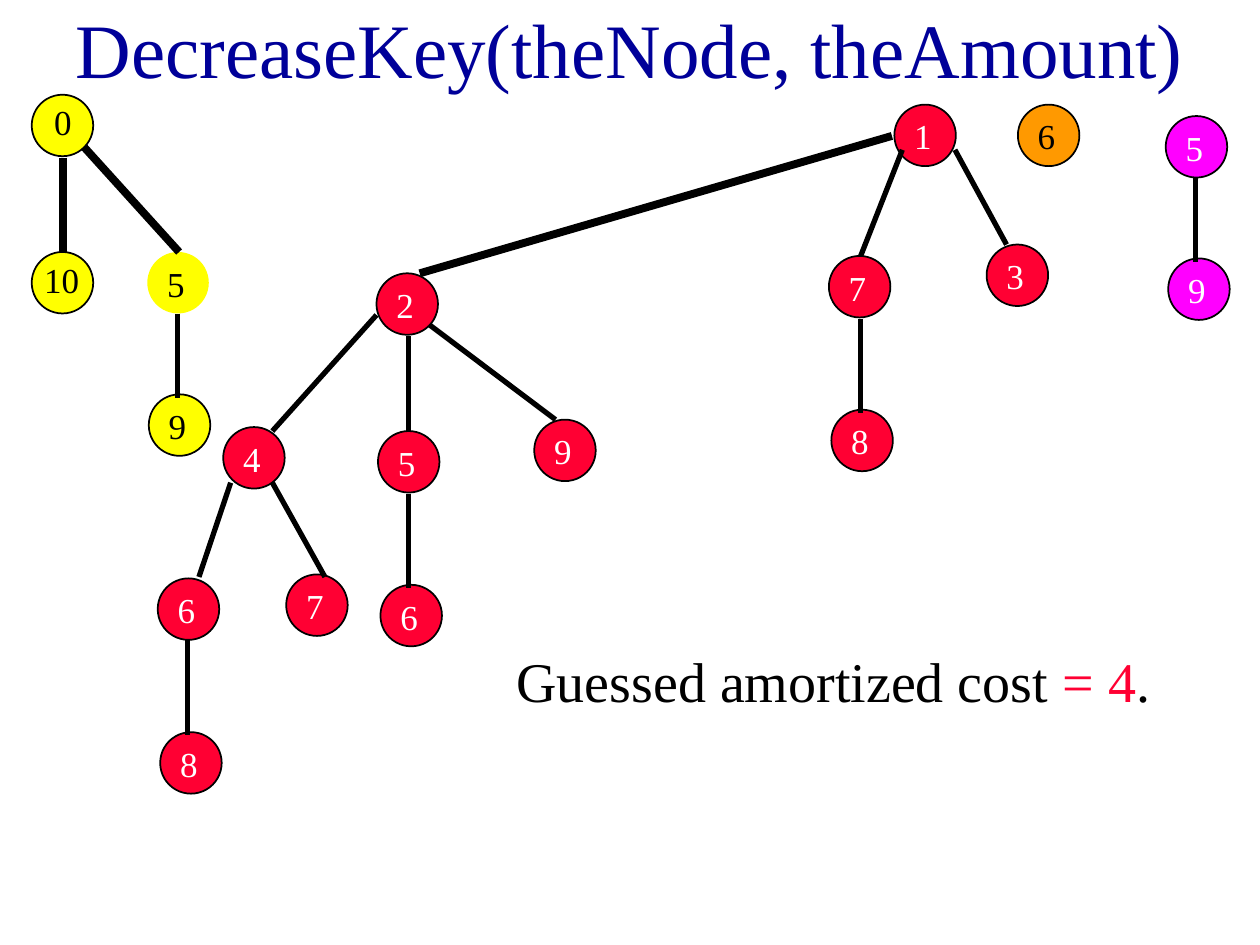
"""Build the DecreaseKey slide: a forest of trees with its amortized cost."""
import dataclasses
import typing

import pptx
import pptx.dml.color
import pptx.enum.shapes
import pptx.enum.text
import pptx.oxml.ns
import pptx.slide
import pptx.text.text
import pptx.util
import lxml.etree

Cm = pptx.util.Cm
Pt = pptx.util.Pt
Shape = pptx.enum.shapes.MSO_SHAPE
Anchor = pptx.enum.text.MSO_ANCHOR
Align = pptx.enum.text.PP_ALIGN


@dataclasses.dataclass(frozen=True)
class Theme:
    font: str = "Times New Roman"
    title_size: float = 44
    statement_size: float = 32
    label_size: float = 20
    outline: float = 1
    thin: float = 3
    thick: float = 4.5
    title: str = "000099"
    black: str = "000000"
    white: str = "FFFFFF"
    yellow: str = "FFFF00"
    red: str = "FF0033"
    orange: str = "FF9900"
    magenta: str = "FF00FF"


THEME = Theme()
DIAMETER = 1.24


@dataclasses.dataclass(frozen=True)
class Node:
    key: str
    left: float
    top: float
    outlined: bool = True
    label_dx: float = 0.15
    label_dy: float = 0.08
    label_width: float = 0.86


@dataclasses.dataclass(frozen=True)
class Edge:
    x1: float
    y1: float
    x2: float
    y2: float
    weight: float = THEME.thin


@dataclasses.dataclass(frozen=True)
class Tree:
    fill: str
    ink: str
    nodes: tuple[Node, ...]
    edges: tuple[Edge, ...] = ()


FOREST = (
    Tree(THEME.yellow, THEME.black, (
        Node("10", 0.64, 5.08, label_dx=0, label_dy=0, label_width=1.22),
        Node("0", 0.64, 1.91, label_dx=0.2, label_dy=0),
        Node("5", 2.97, 5.08, outlined=False),
        Node("9", 3, 7.95),
    ), (
        Edge(3.58, 6.32, 3.58, 8.03),
        Edge(1.27, 3.18, 1.27, 5.08, THEME.thick),
        Edge(1.7, 2.97, 3.61, 5.08, THEME.thick),
    )),
    Tree(THEME.red, THEME.white, (
        Node("1", 18.03, 2.11),
        Node("7", 16.71, 5.16),
        Node("3", 19.89, 4.93),
        Node("8", 16.76, 8.26),
        Node("2", 7.59, 5.51),
        Node("5", 7.62, 8.69),
        Node("9", 10.77, 8.46),
        Node("6", 7.67, 11.79),
        Node("4", 4.5, 8.61),
        Node("6", 3.18, 11.66),
        Node("7", 5.77, 11.58),
        Node("8", 3.23, 14.76),
    ), (
        Edge(17.35, 6.43, 17.35, 8.33),
        Edge(18.19, 3.02, 17.35, 5.16),
        Edge(19.25, 3.02, 20.29, 4.93),
        Edge(8.23, 9.96, 8.23, 11.86),
        Edge(8.23, 6.78, 8.23, 8.69),
        Edge(8.66, 6.55, 11.2, 8.46),
        Edge(3.78, 12.9, 3.78, 14.81),
        Edge(4.65, 9.73, 4.01, 11.63),
        Edge(5.49, 9.73, 6.55, 11.63),
        Edge(7.59, 6.35, 5.49, 8.69),
        Edge(17.98, 2.74, 8.46, 5.51, THEME.thick),
    )),
    Tree(THEME.orange, THEME.black, (Node("6", 20.52, 2.11),)),
    Tree(THEME.magenta, THEME.white, (
        Node("5", 23.5, 2.34),
        Node("9", 23.55, 5.21),
    ), (Edge(24.1, 3.58, 24.1, 5.28),)),
)


def rgb(colour: str) -> pptx.dml.color.RGBColor:
    return pptx.dml.color.RGBColor.from_string(colour)


def write(frame: pptx.text.text.TextFrame, size: float, runs: typing.Sequence[tuple[str, str]],
          alignment: Align = Align.LEFT, anchor: Anchor = Anchor.TOP, wrap: bool = True) -> None:
    frame.word_wrap = wrap
    frame.vertical_anchor = anchor
    paragraph = frame.paragraphs[0]
    paragraph.alignment = alignment
    for text, colour in runs:
        run = paragraph.add_run()
        run.text = text
        run.font.name = THEME.font
        run.font.size = Pt(size)
        run.font.color.rgb = rgb(colour)


def draw_node(slide: pptx.slide.Slide, node: Node, tree: Tree) -> None:
    circle = slide.shapes.add_shape(
        Shape.OVAL, Cm(node.left), Cm(node.top), Cm(DIAMETER), Cm(DIAMETER))
    circle.shadow.inherit = False
    circle.fill.solid()
    circle.fill.fore_color.rgb = rgb(tree.fill)
    if node.outlined:
        circle.line.color.rgb = rgb(THEME.black)
        circle.line.width = Pt(THEME.outline)
    else:
        circle.line.fill.background()
    label = slide.shapes.add_textbox(
        Cm(node.left + node.label_dx), Cm(node.top + node.label_dy), Cm(node.label_width), Cm(1.09))
    write(label.text_frame, THEME.label_size, [(node.key, tree.ink)], wrap=False)


def draw_edge(slide: pptx.slide.Slide, edge: Edge) -> None:
    connector = slide.shapes.add_connector(
        pptx.enum.shapes.MSO_CONNECTOR.STRAIGHT,
        Cm(edge.x1), Cm(edge.y1), Cm(edge.x2), Cm(edge.y2))
    connector.line.color.rgb = rgb(THEME.black)
    connector.line.width = Pt(edge.weight)
    lxml.etree.SubElement(connector._element.spPr, pptx.oxml.ns.qn("a:effectLst"))


def draw_statement(slide: pptx.slide.Slide) -> None:
    panel = slide.shapes.add_shape(Shape.RECTANGLE, Cm(10.16), Cm(12.9), Cm(13.54), Cm(1.63))
    panel.shadow.inherit = False
    panel.fill.solid()
    panel.fill.fore_color.rgb = rgb(THEME.white)
    panel.line.fill.background()
    write(panel.text_frame, THEME.statement_size, [
        ("Guessed amortized cost ", THEME.black), ("= 4", THEME.red), (".", THEME.black)])


def main() -> None:
    presentation = pptx.Presentation()
    presentation.slide_width, presentation.slide_height = Cm(25.4), Cm(19.05)
    slide = presentation.slides.add_slide(presentation.slide_layouts[6])
    title = slide.shapes.add_textbox(Cm(0.42), Cm(0), Cm(24.56), Cm(1.91))
    write(title.text_frame, THEME.title_size,
          [("DecreaseKey(theNode, theAmount)", THEME.title)], Align.CENTER, Anchor.MIDDLE)
    for tree in FOREST:
        for node in tree.nodes:
            draw_node(slide, node, tree)
        for edge in tree.edges:
            draw_edge(slide, edge)
    draw_statement(slide)
    presentation.save("out.pptx")


if __name__ == "__main__":
    main()
